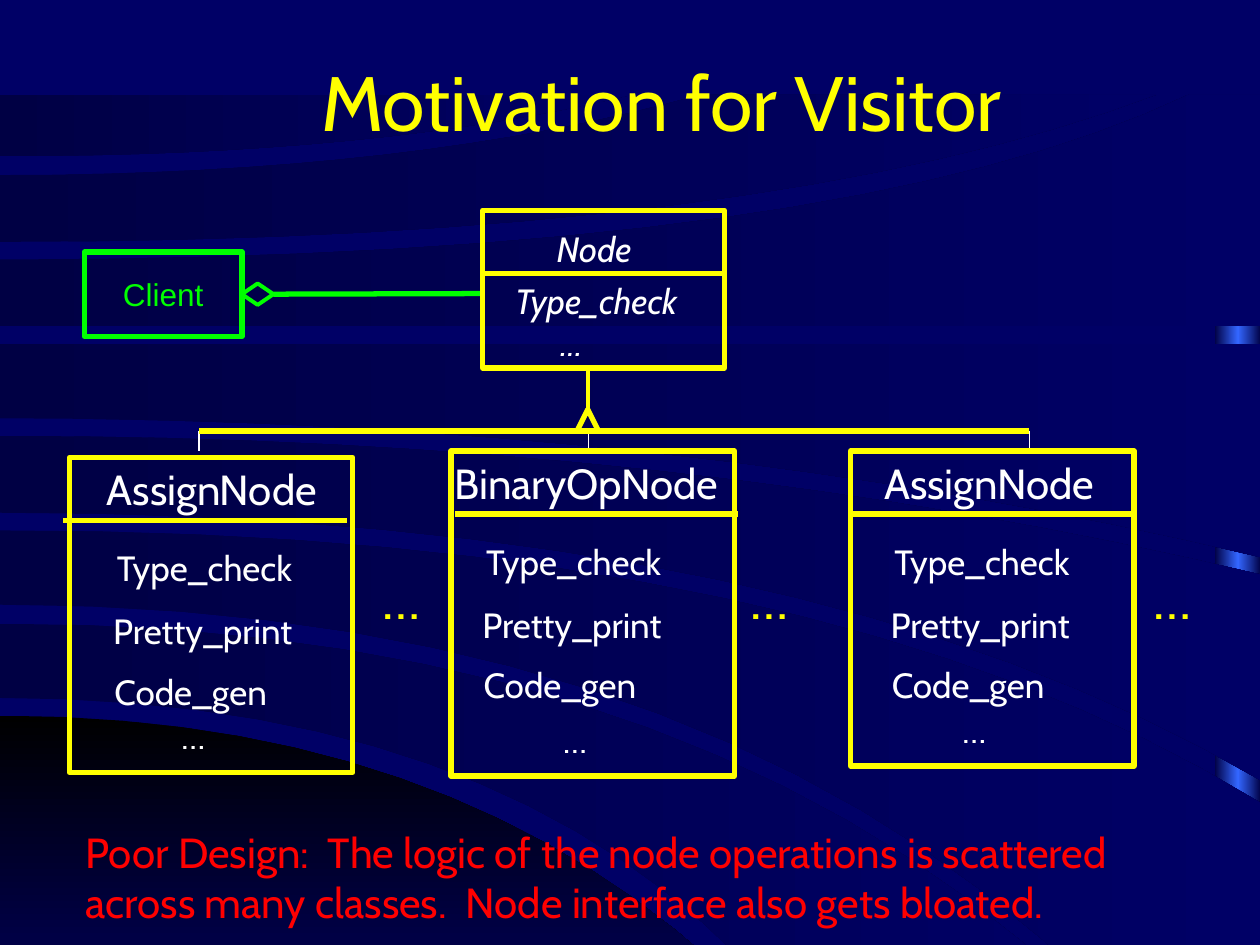
from copy import deepcopy
from dataclasses import dataclass

from lxml.etree import SubElement
from pptx import Presentation
from pptx.dml.color import RGBColor
from pptx.enum.shapes import MSO_CONNECTOR, MSO_SHAPE
from pptx.enum.text import MSO_ANCHOR, MSO_AUTO_SIZE, PP_ALIGN
from pptx.oxml.ns import qn
from pptx.util import Inches, Pt


@dataclass(frozen=True)
class Theme:
    navy: str = "000066"
    midnight: str = "000044"
    black: str = "000000"
    glow: str = "3366FF"
    yellow: str = "FFFF00"
    green: str = "00FF00"
    white: str = "FFFFFF"
    red: str = "FF0000"
    font: str = "Cabin"
    client_font: str = "Arial"
    title: int = 44
    gap_dots: int = 32
    heading: int = 24
    operation: int = 20
    client: int = 18
    thick: float = 3
    medium: float = 2.25
    hairline: float = 0.75


@dataclass(frozen=True)
class NodeClass:
    """A class box; name_dx, rule_dx and operations_dx are offsets from its left side."""
    name: str
    left: float
    top: float
    height: float
    name_dx: float
    rule_dx: float
    operations_dx: float


@dataclass(frozen=True)
class Edge:
    """A curve that leaves the left border level and bends towards its end."""
    start_y: float
    bend_x: float
    end_x: float
    end_y: float

    def points(self, steps=16):
        for step in range(steps + 1):
            t = step / steps
            yield (2 * t * (1 - t) * self.bend_x + t * t * self.end_x,
                   self.start_y + t * t * (self.end_y - self.start_y))


THEME = Theme()
CLASS_WIDTH = 2.25
CLASSES = [
    NodeClass("BinaryOpNode", 3.58, 3.58, 2.58, -0.07, 0.03, 0.18),
    NodeClass("AssignNode", 6.75, 3.58, 2.5, 0.17, 0, 0.25),
    NodeClass("AssignNode", 0.55, 3.63, 2.5, 0.2, -0.05, 0.28),
]
OPERATIONS = [("Type_check", 0, 0.66), ("Pretty_print", -0.03, 1.16), ("Code_gen", -0.02, 1.64)]

HILL = (Edge(5.68, 4, 6.29, 8.27), Edge(8.27, 4, 6.29, 8.27))
BANDS = [
    (Edge(4.95, 5.8, 8.94, 8.25), Edge(5.54, 4.4, 6.43, 8.25)),
    (Edge(4.21, 6.5, 10, 6.37), Edge(4.8, 5.9, 9.1, 8.25)),
    (Edge(3.46, 5.4, 10, 4.56), Edge(4.07, 6.4, 10, 6.19)),
    (Edge(2.73, 5, 10, 2.73), Edge(3.32, 5.4, 10, 4.42)),
    (Edge(2.06, 6.7, 9.44, 0.75), Edge(2.59, 5, 10, 2.59)),
    (Edge(1.39, 3.3, 5.57, 0.75), Edge(1.92, 6.1, 9.18, 0.75)),
    (Edge(0.75, 3, 5.02, 0.75), Edge(1.24, 3, 5.02, 0.75)),
]


def rgb(color):
    return RGBColor.from_string(color)


def paint_gradient(shape, colors, angle=0):
    """Spread the colors evenly; the angle runs counter-clockwise."""
    shape.shadow.inherit = False
    shape.line.fill.background()
    shape.fill.gradient()
    shape.fill.gradient_angle = angle
    stop_list = shape._element.spPr.find(qn("a:gradFill")).find(qn("a:gsLst"))
    while len(stop_list) < len(colors):
        stop_list.append(deepcopy(stop_list[0]))
    for index, (stop, color) in enumerate(zip(shape.fill.gradient_stops, colors)):
        stop.position = index / (len(colors) - 1)
        stop.color.rgb = rgb(color)


def add_wave(slide, upper, lower, colors, angle=0):
    shorter, longer = sorted((upper, lower), key=lambda edge: edge.end_x)
    corner = (longer.end_x, shorter.end_y)
    outline = [*upper.points(), corner, *reversed(list(lower.points()))]
    points = [(Inches(x), Inches(y)) for x, y in outline]
    builder = slide.shapes.build_freeform(*points[0])
    builder.add_line_segments(points[1:], close=True)
    paint_gradient(builder.convert_to_shape(), colors, angle)


def add_backdrop(slide):
    slide.background.fill.solid()
    slide.background.fill.fore_color.rgb = rgb(THEME.navy)
    edge_glow = slide.shapes.add_shape(
        MSO_SHAPE.RECTANGLE, Inches(9.64), Inches(0.77), Inches(0.37), Inches(7.5))
    paint_gradient(edge_glow, [THEME.midnight, THEME.glow, THEME.midnight])
    add_wave(slide, *HILL, [THEME.black, THEME.navy], 270)
    for band in BANDS:
        add_wave(slide, *band, [THEME.midnight, THEME.navy])


def add_outline(slide, preset, left, top, width, height, color, weight=THEME.thick):
    shape = slide.shapes.add_shape(
        preset, Inches(left), Inches(top), Inches(width), Inches(height))
    shape.shadow.inherit = False
    shape.fill.background()
    shape.line.color.rgb = rgb(color)
    shape.line.width = Pt(weight)
    return shape


def add_line(slide, start, end, color, weight=THEME.thick):
    line = slide.shapes.add_connector(
        MSO_CONNECTOR.STRAIGHT, *(Inches(value) for value in (*start, *end)))
    line.line.color.rgb = rgb(color)
    line.line.width = Pt(weight)
    SubElement(line._element.spPr, qn("a:effectLst"))
    return line


def add_run(paragraph, text, size, color, font=THEME.font, italic=None):
    run = paragraph.add_run()
    run.text = text
    run.font.name = font
    run.font.size = Pt(size)
    run.font.color.rgb = rgb(color)
    run.font.italic = italic


def add_label(slide, lines, left, top, width, height, size, color=THEME.white, italic=None):
    frame = slide.shapes.add_textbox(
        Inches(left), Inches(top), Inches(width), Inches(height)).text_frame
    frame.word_wrap = False
    frame.auto_size = MSO_AUTO_SIZE.SHAPE_TO_FIT_TEXT
    for index, line in enumerate(lines):
        paragraph = frame.add_paragraph() if index else frame.paragraphs[0]
        add_run(paragraph, line, size, color, italic=italic)
    return frame


def add_title(slide):
    frame = slide.shapes.add_textbox(
        Inches(0.75), Inches(0.17), Inches(9), Inches(1.25)).text_frame
    frame.word_wrap = True
    frame.vertical_anchor = MSO_ANCHOR.MIDDLE
    frame.paragraphs[0].alignment = PP_ALIGN.CENTER
    add_run(frame.paragraphs[0], "Motivation for Visitor", THEME.title, THEME.yellow)


def add_client(slide):
    client = add_outline(slide, MSO_SHAPE.RECTANGLE, 0.67, 2, 1.25, 0.67, THEME.green)
    client.text_frame.word_wrap = False
    client.text_frame.vertical_anchor = MSO_ANCHOR.MIDDLE
    paragraph = client.text_frame.paragraphs[0]
    paragraph.alignment = PP_ALIGN.CENTER
    add_run(paragraph, "Client", THEME.client, THEME.green, THEME.client_font)
    aggregation = add_outline(
        slide, MSO_SHAPE.DIAMOND, 1.92, 2.25, 0.25, 0.17, THEME.green, THEME.medium)
    link = add_line(slide, (2.17, 2.33), (3.83, 2.33), THEME.green)
    link.begin_connect(aggregation, 3)


def add_base_node(slide):
    add_outline(slide, MSO_SHAPE.RECTANGLE, 3.83, 1.67, 1.92, 1.25, THEME.yellow)
    add_line(slide, (3.83, 2.17), (5.75, 2.17), THEME.yellow)
    add_label(slide, ["Node"], 4.32, 1.76, 0.85, 0.44, THEME.operation, italic=True)
    operations = add_label(slide, ["Type_check", "…"], 3.99, 2.17, 1.57, 0.77,
                           THEME.operation, italic=True)
    operations.paragraphs[1]._p.get_or_add_pPr().set("marL", str(Inches(0.36)))


def add_inheritance(slide):
    for x in (1.58, 4.67, 8.17):
        add_line(slide, (x, 3.42), (x, 3.58), THEME.white, THEME.hairline)
    add_line(slide, (1.58, 3.42), (8.17, 3.42), THEME.yellow)
    add_outline(slide, MSO_SHAPE.FLOWCHART_EXTRACT, 4.58, 3.25, 0.17, 0.17, THEME.yellow)
    add_line(slide, (4.67, 3.25), (4.67, 2.92), THEME.yellow, THEME.medium)


def add_class(slide, node):
    left, top = node.left, node.top
    add_outline(slide, MSO_SHAPE.RECTANGLE, left, top, CLASS_WIDTH, node.height, THEME.yellow)
    rule_left, rule_y = left + node.rule_dx, top + 0.5
    add_line(slide, (rule_left, rule_y), (rule_left + CLASS_WIDTH, rule_y), THEME.yellow)
    name_width = 2.51 if node.name == "BinaryOpNode" else 2.07
    add_label(slide, [node.name], left + node.name_dx, top, name_width, 0.5, THEME.heading)
    for operation, dx, dy in OPERATIONS:
        add_label(slide, [operation], left + node.operations_dx + dx, top + dy,
                  1.69, 0.44, THEME.operation)
    add_label(slide, ["…"], left + 0.79, top + node.height - 0.51, 0.42, 0.44,
              THEME.operation)


def main():
    presentation = Presentation()
    presentation.slide_width, presentation.slide_height = Inches(10), Inches(7.5)
    slide = presentation.slides.add_slide(presentation.slide_layouts[6])
    add_backdrop(slide)
    add_title(slide)
    add_client(slide)
    add_base_node(slide)
    add_inheritance(slide)
    for node in CLASSES:
        add_class(slide, node)
    for x in (2.94, 5.86, 9.06):
        add_label(slide, ["…"], x, 4.42, 0.55, 0.64, THEME.gap_dots, THEME.yellow)
    add_label(slide, ["Poor Design:  The logic of the node operations is scattered",
                      "across many classes.  Node interface also gets bloated."],
              0.58, 6.51, 9.42, 0.9, THEME.heading, THEME.red)
    presentation.save("out.pptx")


if __name__ == "__main__":
    main()
